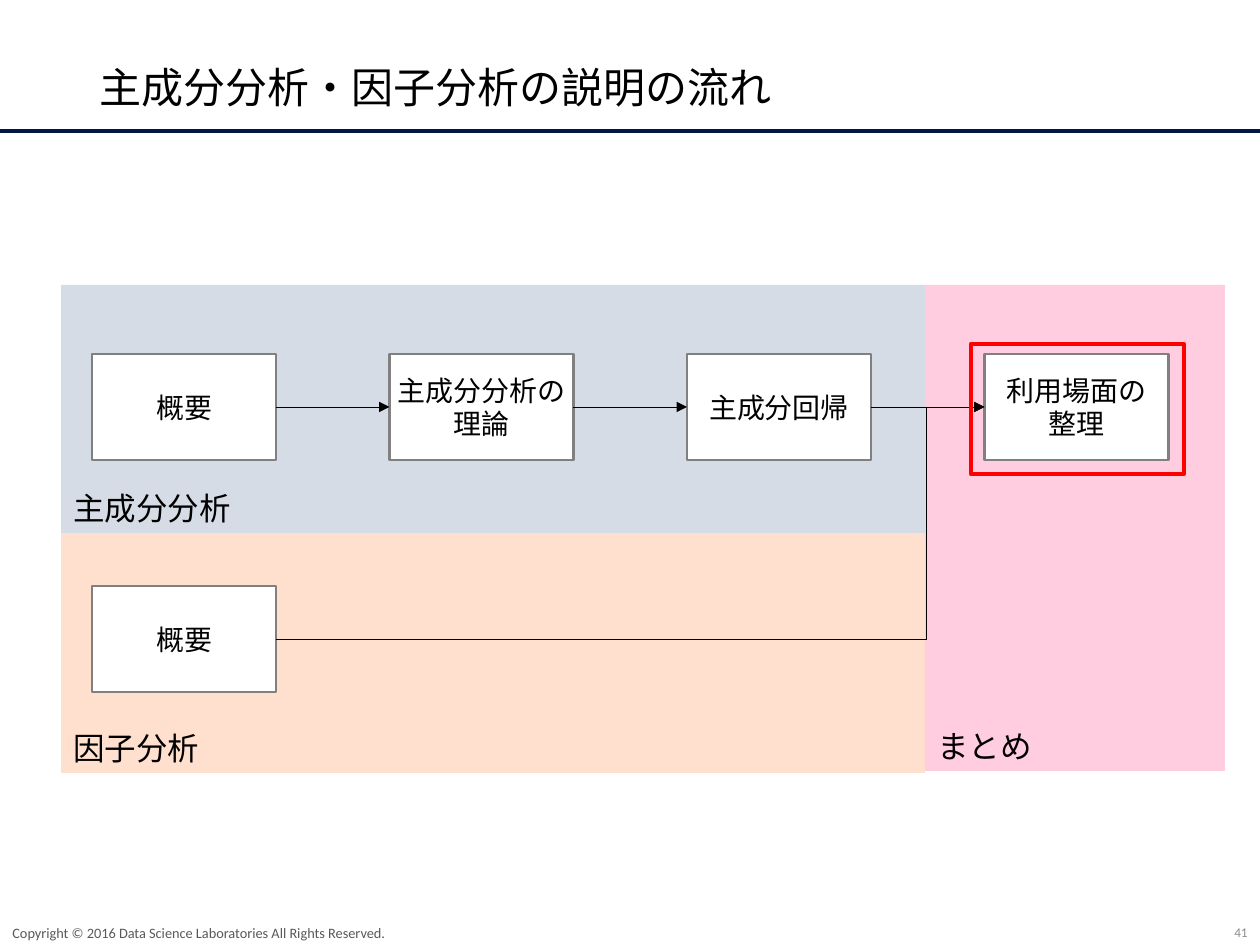
from pptx import Presentation
from pptx.dml.color import RGBColor
from pptx.enum.shapes import MSO_CONNECTOR, MSO_SHAPE
from pptx.enum.text import MSO_ANCHOR, MSO_AUTO_SIZE, PP_ALIGN
from pptx.oxml.ns import qn
from pptx.util import Emu, Pt
from lxml.etree import SubElement

PX = 914400 / 126
LATIN, JAPANESE = "Calibri", "Noto Sans CJK JP"

BLACK = RGBColor(0x00, 0x00, 0x00)
WHITE = RGBColor(0xFF, 0xFF, 0xFF)
GRAY = RGBColor(0x80, 0x80, 0x80)
NUMBER_GRAY = RGBColor(0x8C, 0x8C, 0x8C)
FOOTER_GRAY = RGBColor(0x59, 0x59, 0x59)
RED = RGBColor(0xFF, 0x00, 0x00)
SLATE = RGBColor(0x44, 0x54, 0x6A)
NAVY = RGBColor(0x00, 0x18, 0x47)
PEACH = RGBColor(0xFF, 0xDF, 0xCE)
PINK = RGBColor(0xFF, 0xCC, 0xE0)
BLUE_GRAY = RGBColor(0xD6, 0xDC, 0xE5)

STEP_WIDTH, STEP_HEIGHT = 184, 106
STEP_LEFT, STEP_PITCH = 92, 297.5
TOP_ROW, BOTTOM_ROW = 354, 586
RIGHT_SIDE, LEFT_SIDE = 3, 1


def px(*lengths):
    return [Emu(round(length * PX)) for length in lengths]


def add_run(para, text, size, color=BLACK, font=LATIN):
    span = para.add_run()
    span.text = text
    span.font.size = Pt(size)
    span.font.name = font
    span.font.color.rgb = color
    SubElement(span.font._element, qn("a:ea")).set("typeface", JAPANESE)


def add_box(page, place, fill=None, line=None, weight=1):
    box = page.shapes.add_shape(MSO_SHAPE.RECTANGLE, *px(*place))
    box.shadow.inherit = False
    if fill is None:
        box.fill.background()
    else:
        box.fill.solid()
        box.fill.fore_color.rgb = fill
    if line is None:
        box.line.fill.background()
    else:
        box.line.color.rgb = line
        box.line.width = Pt(weight)
    return box


def add_area(page, place, fill, label):
    frame = add_box(page, place, fill).text_frame
    frame.word_wrap = False
    frame.vertical_anchor = MSO_ANCHOR.BOTTOM
    para = frame.paragraphs[0]
    para.alignment = PP_ALIGN.LEFT
    add_run(para, label, 18)


def add_step(page, column, top, *paragraphs):
    """Each paragraph may hold a line break."""
    left = STEP_LEFT + column * STEP_PITCH
    box = add_box(page, (left, top, STEP_WIDTH, STEP_HEIGHT), WHITE, GRAY, 1.5)
    frame = box.text_frame
    frame.word_wrap = False
    frame.vertical_anchor = MSO_ANCHOR.MIDDLE
    for index, text in enumerate(paragraphs):
        para = frame.add_paragraph() if index else frame.paragraphs[0]
        para.alignment = PP_ALIGN.CENTER
        for number, line in enumerate(text.split("\n")):
            if number:
                para.add_line_break()
            add_run(para, line, 16)
    return box


def add_arrow(page, start, end, bend=None):
    kind = MSO_CONNECTOR.STRAIGHT if bend is None else MSO_CONNECTOR.ELBOW
    arrow = page.shapes.add_connector(kind, 0, 0, 0, 0)
    arrow.begin_connect(start, RIGHT_SIDE)
    arrow.end_connect(end, LEFT_SIDE)
    arrow.line.color.rgb = BLACK
    arrow.line.width = Pt(0.5)
    properties = arrow._element.spPr
    SubElement(properties.find(qn("a:ln")), qn("a:tailEnd")).set("type", "triangle")
    SubElement(properties, qn("a:effectLst"))
    if bend is not None:
        geometry = properties.find(qn("a:prstGeom"))
        values = geometry.find(qn("a:avLst"))
        if values is None:
            values = SubElement(geometry, qn("a:avLst"))
        guide = SubElement(values, qn("a:gd"))
        guide.set("name", "adj1")
        guide.set("fmla", f"val {round(bend * 100000)}")


def add_title(page, text):
    title = page.shapes.title
    title.left, title.top, title.width, title.height = px(87, 50, 1086, 80)
    frame = title.text_frame
    frame.auto_size = MSO_AUTO_SIZE.NONE
    frame.vertical_anchor = MSO_ANCHOR.MIDDLE
    para = frame.paragraphs[0]
    para.alignment = PP_ALIGN.LEFT
    para.line_spacing = 0.9
    add_run(para, text, 24, font=JAPANESE)


def add_footer(page, place, text, size, color, alignment):
    frame = page.shapes.add_textbox(*px(*place)).text_frame
    frame.word_wrap = True
    frame.vertical_anchor = MSO_ANCHOR.MIDDLE
    para = frame.paragraphs[0]
    para.alignment = alignment
    add_run(para, text, size, color)


def main():
    deck = Presentation()
    deck.slide_width, deck.slide_height = px(1260, 945)
    page = deck.slides.add_slide(deck.slide_layouts[5])

    # Title, rule and footer
    add_box(page, (0, 130, 1260, 2), SLATE, NAVY)
    add_title(page, "主成分分析・因子分析の説明の流れ")
    add_footer(page, (976, 919, 284, 26), "41", 7.6, NUMBER_GRAY, PP_ALIGN.RIGHT)
    add_footer(page, (0, 920, 786, 25),
               "Copyright © 2016 Data Science Laboratories All Rights Reserved.",
               8.2, FOOTER_GRAY, PP_ALIGN.LEFT)

    # Coloured areas
    add_area(page, (61, 530, 864, 243), PEACH, "因子分析")
    add_area(page, (925, 285, 300, 486), PINK, "まとめ")
    add_area(page, (61, 285, 864, 248), BLUE_GRAY, "主成分分析")

    # Steps
    overview = add_step(page, 0, TOP_ROW, "概要")
    theory = add_step(page, 1, TOP_ROW, "主成分分析の", "理論")
    regression = add_step(page, 2, TOP_ROW, "主成分回帰")
    usage = add_step(page, 3, TOP_ROW, "利用場面の\n整理")
    factor_overview = add_step(page, 0, BOTTOM_ROW, "概要")

    # Flow
    chain = [overview, theory, regression, usage]
    for start, end in zip(chain, chain[1:]):
        add_arrow(page, start, end)
    add_arrow(page, factor_overview, usage, bend=0.918)

    # Current step
    add_box(page, (971, 344, 213, 130), line=RED, weight=2.5)

    deck.save("out.pptx")


if __name__ == "__main__":
    main()
